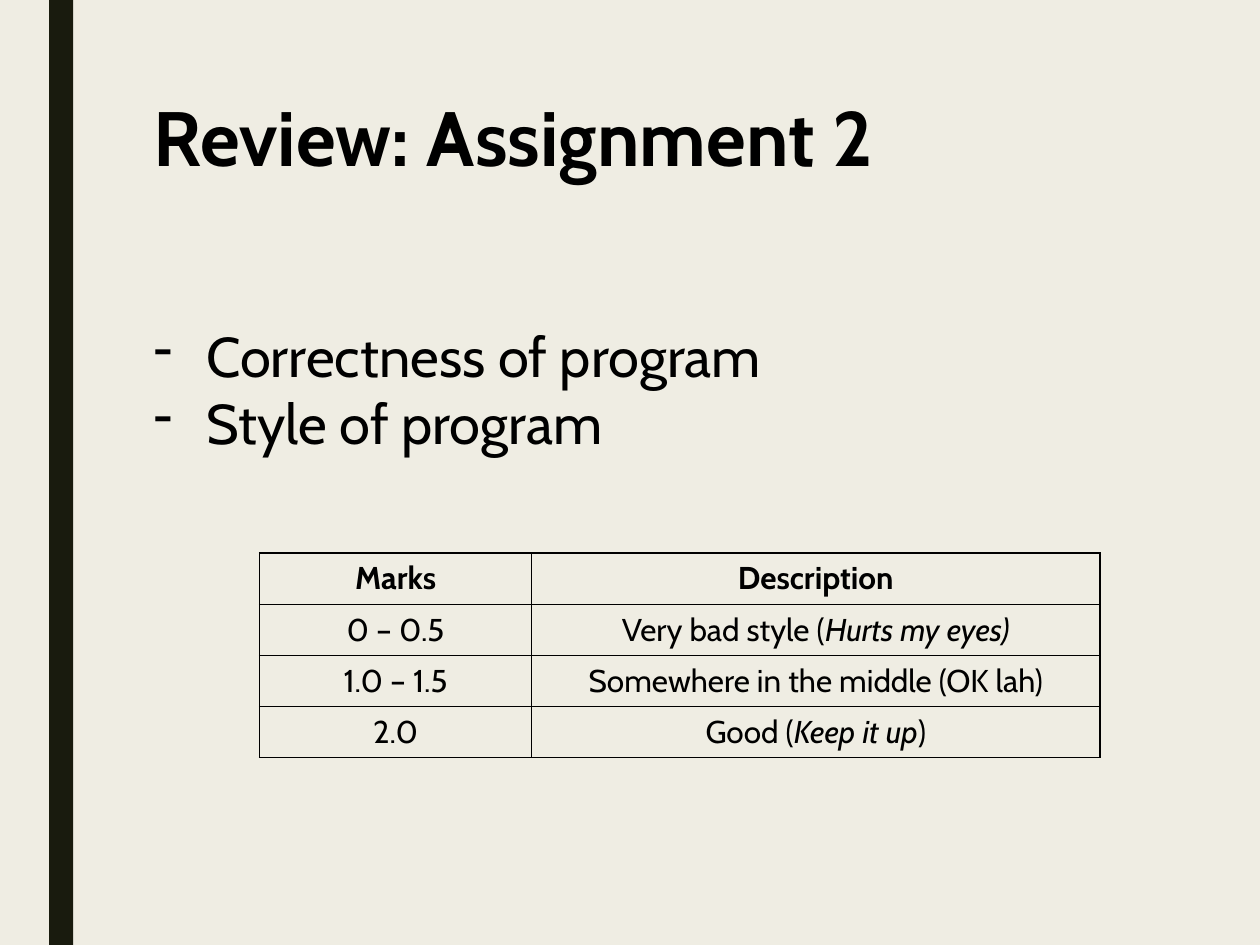
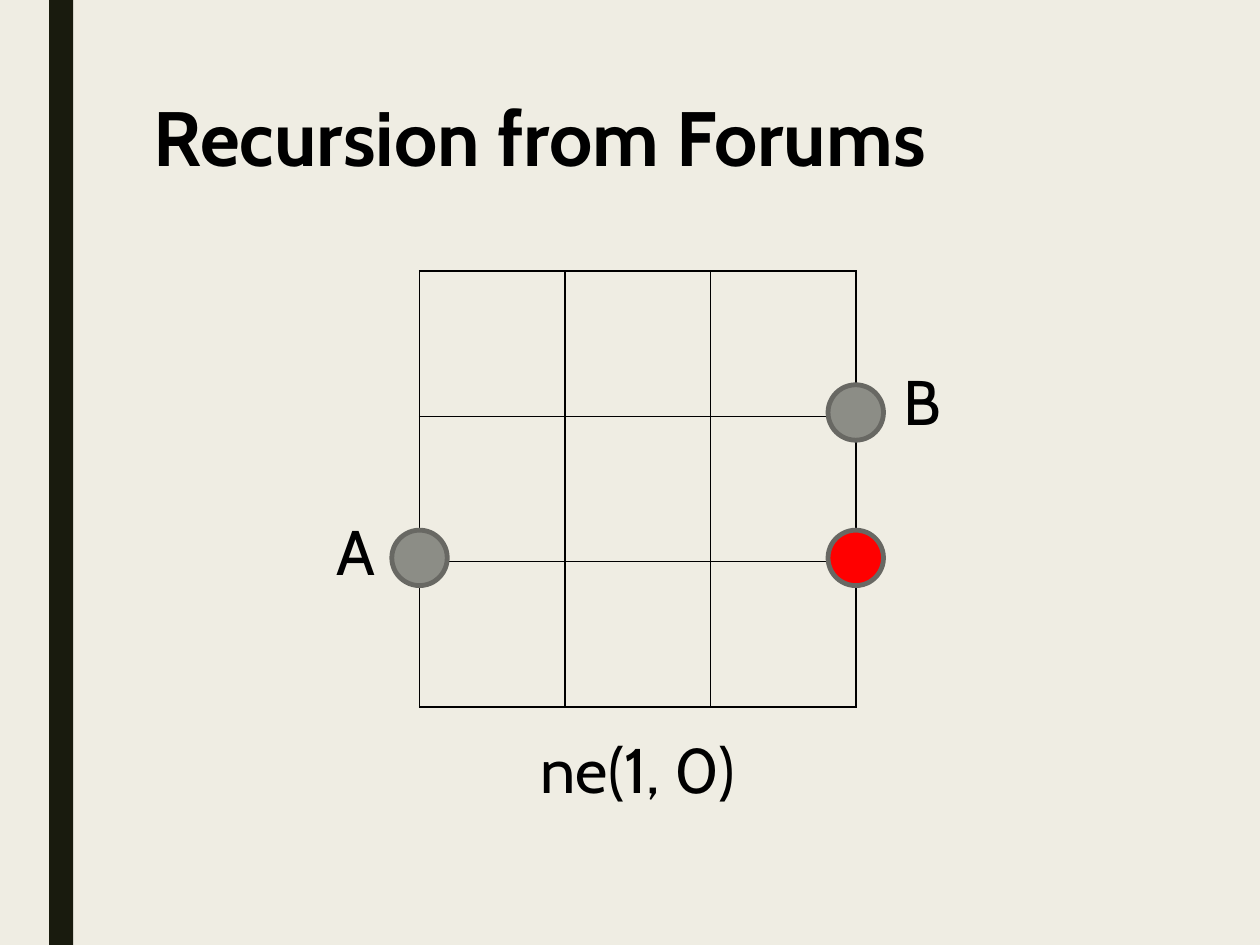
"""Build two tutorial slides: a marking review and a recursion lattice."""
from lxml import etree
from pptx import Presentation
from pptx.dml.color import RGBColor
from pptx.enum.shapes import MSO_SHAPE
from pptx.enum.text import PP_ALIGN
from pptx.oxml.ns import qn
from pptx.util import Inches, Pt

RECTANGLE, OVAL = MSO_SHAPE.RECTANGLE, MSO_SHAPE.OVAL
LEFT, CENTER = PP_ALIGN.LEFT, PP_ALIGN.CENTER
FONT = "Cabin"
COLORS = {
    "paper": "EFEDE3",
    "band": "191B0E",
    "ink": "000000",
    "stone": "8C8D86",
    "rim": "686863",
    "current": "FF0000",
}
COLUMNS, ROWS = 100, 75
MARGIN, CONTENT_WIDTH = 11.2, 78.8
MARKER = 4.4
MARKER_LIFT = 0.3
LABEL_HEIGHT = 7.1


def rgb(name):
    """Return a palette colour."""
    return RGBColor.from_string(COLORS[name])


def grid(*units):
    """Turn grid units, a hundred to the slide's width, into lengths."""
    return [Inches(unit * 10 / COLUMNS) for unit in units]


def style_run(run, size, bold=False, italic=False):
    """Apply the shared typeface and ink to a run."""
    font = run.font
    font.name, font.size = FONT, Pt(size)
    font.bold, font.italic = bold, italic
    font.color.rgb = rgb("ink")


def add_text(slide, lines, box, size, bold=False, align=LEFT, spacing=None, dash=False):
    """Add a wrapping text box, one paragraph for each line."""
    frame = slide.shapes.add_textbox(*grid(*box)).text_frame
    frame.word_wrap = True
    frame.text = "\n".join(lines)
    for paragraph in frame.paragraphs:
        paragraph.alignment = align
        if spacing:
            paragraph.line_spacing = spacing
        if dash:
            add_dash(paragraph)
        for run in paragraph.runs:
            style_run(run, size, bold)


def add_dash(paragraph):
    """Give a paragraph a hanging dash."""
    properties = paragraph._p.get_or_add_pPr()
    indent = Inches(0.42)
    properties.set("marL", str(indent))
    properties.set("indent", str(-indent))
    etree.SubElement(properties, qn("a:buChar"), char="-")


def add_shape(slide, preset, box, fill, rim=None):
    """Add a flat shape with an optional rim."""
    shape = slide.shapes.add_shape(preset, *grid(*box))
    shape.shadow.inherit = False
    shape.fill.solid()
    shape.fill.fore_color.rgb = rgb(fill)
    if rim:
        shape.line.color.rgb = rgb(rim)
        shape.line.width = Pt(2.75)
    else:
        shape.line.fill.background()


def add_slide(deck, title):
    """Add a slide with the shared background, band and title."""
    slide = deck.slides.add_slide(deck.slide_layouts[6])
    slide.background.fill.solid()
    slide.background.fill.fore_color.rgb = rgb("paper")
    add_shape(slide, RECTANGLE, (3.9, 0, 1.9, ROWS), "band")
    add_text(slide, [title], (MARGIN, 7.5, CONTENT_WIDTH, 16.2), 44, True, spacing=0.89)
    return slide


def outline_cell(cell):
    """Clear a cell's fill and rule its four sides."""
    properties = cell._tc.get_or_add_tcPr()
    for side in ("lnL", "lnR", "lnT", "lnB"):
        line = etree.SubElement(properties, qn(f"a:{side}"), w=str(Pt(1)))
        fill = etree.SubElement(line, qn("a:solidFill"))
        etree.SubElement(fill, qn("a:srgbClr"), val=COLORS["ink"])
    cell.fill.background()


def add_ruled_table(slide, corner, widths, heights):
    """Add an unfilled table with thin rules and return it."""
    box = grid(*corner, sum(widths), sum(heights))
    table = slide.shapes.add_table(len(heights), len(widths), *box).table
    table.first_row = table.horz_banding = False
    for column, width in zip(table.columns, grid(*widths)):
        column.width = width
    for row, height in zip(table.rows, grid(*heights)):
        row.height = height
    for cell in table.iter_cells():
        outline_cell(cell)
    return table


def write_cell(cell, pieces, bold):
    """Write centred pieces, every second one in italics."""
    paragraph = cell.text_frame.paragraphs[0]
    paragraph.alignment = CENTER
    for index, piece in enumerate(pieces):
        run = paragraph.add_run()
        run.text = piece
        style_run(run, 18, bold, index % 2 == 1)


def build_review(deck):
    """Build the marking criteria and the table of marks."""
    slide = add_slide(deck, "Review: Assignment 2")
    criteria = ["Correctness of program", "Style of program"]
    add_text(slide, criteria, (MARGIN, 25, CONTENT_WIDTH, 39.2), 32, dash=True)
    marks = [
        ("Marks", ["Description"]),
        ("0 – 0.5", ["Very bad style (", "Hurts my eyes)"]),
        ("1.0 – 1.5", ["Somewhere in the middle (OK lah)"]),
        ("2.0", ["Good (", "Keep it up", ")"]),
    ]
    table = add_ruled_table(slide, (20.6, 43.9), (21.6, 45.1), [4.06] * len(marks))
    for row, (mark, description) in enumerate(marks):
        write_cell(table.cell(row, 0), [mark], row == 0)
        write_cell(table.cell(row, 1), description, row == 0)


def build_recursion(deck):
    """Build the lattice with its start, goal and current position."""
    slide = add_slide(deck, "Recursion from Forums")
    left, top, step, blocks = 33.3, 21.5, 11.54, 3
    side = step * blocks
    add_ruled_table(slide, (left, top), [step] * blocks, [step] * blocks)
    for column, row, fill in ((3, 2, "current"), (3, 1, "stone"), (0, 2, "stone")):
        x = left + column * step - MARKER / 2
        y = top + row * step - MARKER / 2 - MARKER_LIFT
        add_shape(slide, OVAL, (x, y, MARKER, MARKER), fill, "rim")
    for letter, x, y in (("A", 25.7, 40.2), ("B", 70.7, 28.3)):
        add_text(slide, [letter], (x, y, 5, LABEL_HEIGHT), 36)
    add_text(slide, ["ne(1, 0)"], (left, 57.5, side, LABEL_HEIGHT), 36, align=CENTER)


def main():
    """Build and save the deck."""
    deck = Presentation()
    deck.slide_width, deck.slide_height = grid(COLUMNS, ROWS)
    build_review(deck)
    build_recursion(deck)
    deck.save("out.pptx")


if __name__ == "__main__":
    main()
